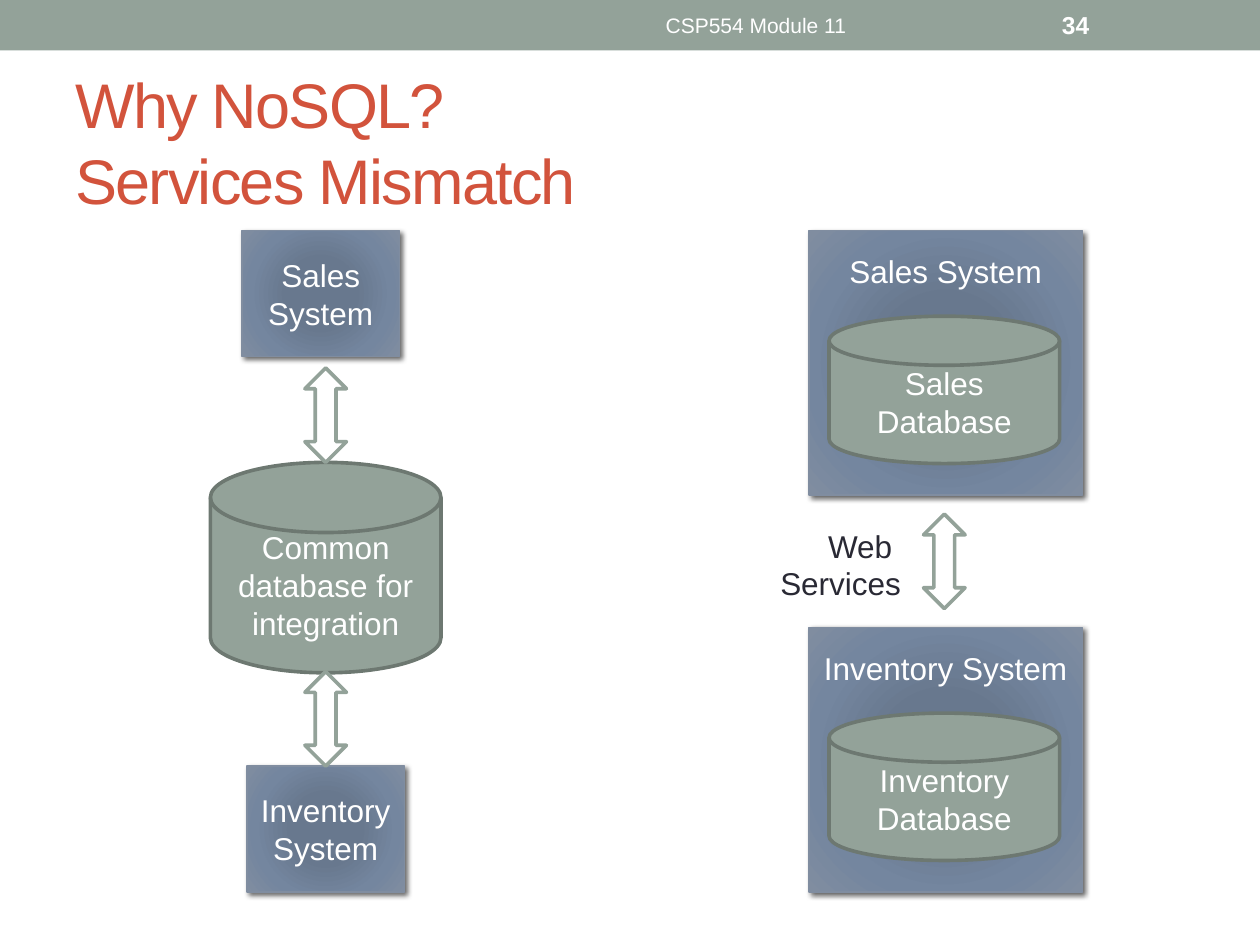
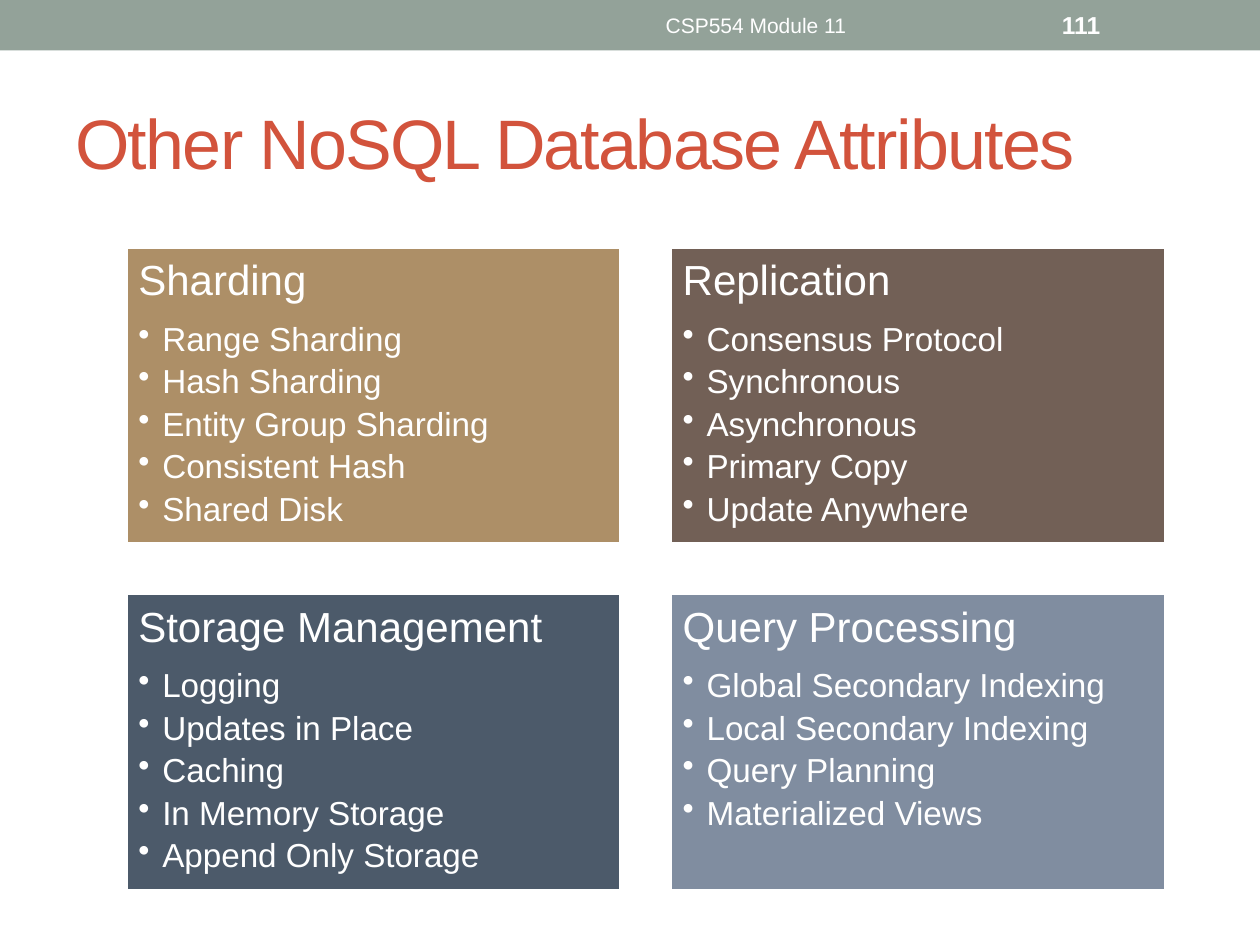
"""Build two slides on why NoSQL exists and on other database attributes."""
from dataclasses import dataclass

from lxml import etree
from pptx import Presentation
from pptx.dml.color import RGBColor
from pptx.enum.shapes import MSO_SHAPE as Preset
from pptx.enum.text import MSO_ANCHOR as Anchor, PP_ALIGN as Align
from pptx.oxml import parse_xml
from pptx.oxml.ns import nsdecls, qn
from pptx.util import Inches, Pt


@dataclass(frozen=True)
class Theme:
    font: str = "Arial"
    white: str = "FFFFFF"
    sage: str = "93A299"
    sage_edge: str = "6D7871"
    title: str = "D2533C"
    ink: str = "292934"
    slate: str = "808DA0"
    glow: tuple = ((0, "677790"), (34, "68788E"), (70, "74869F"), (100, "808DA0"))
    panels: tuple = ("AD8F67", "726056", "4C5A6A", "808DA0")
    footer_size: float = 12
    number_size: float = 14
    label_size: float = 18
    heading_size: float = 24
    bullet_size: float = 19
    thin: float = 0.75
    thick: float = 2.08


theme = Theme()


def place(slide, preset, box, lines=(), fill=None, edge=None, weight=theme.thick,
          size=theme.label_size, color=theme.white, bold=False,
          align=Align.CENTER, **frame_format):
    bounds = [Inches(length) for length in box]
    if preset is None:
        part = slide.shapes.add_textbox(*bounds)
    else:
        part = slide.shapes.add_shape(preset, *bounds)
        part.shadow.inherit = False
        part.fill.solid()
        part.fill.fore_color.rgb = RGBColor.from_string(fill)
        if edge:
            part.line.color.rgb = RGBColor.from_string(edge)
            part.line.width = Pt(weight)
        else:
            part.line.fill.background()
    frame = part.text_frame
    frame_values = {"word_wrap": True, "vertical_anchor": Anchor.MIDDLE} | frame_format
    for key, value in frame_values.items():
        setattr(frame, key, value)
    font_values = {"name": theme.font, "size": Pt(size), "bold": bold}
    for index, line in enumerate(lines):
        paragraph = frame.paragraphs[0] if index == 0 else frame.add_paragraph()
        paragraph.text = line
        paragraph.alignment = align
        for run in paragraph.runs:
            for key, value in font_values.items():
                setattr(run.font, key, value)
            run.font.color.rgb = RGBColor.from_string(color)
    return part


def place_system(slide, box, name, **frame_format):
    system = place(slide, Preset.RECTANGLE, box, [name], theme.slate, theme.slate,
                   theme.thin, **frame_format)
    properties = system.element.spPr
    stops = "".join(f'<a:gs pos="{stop * 1000}"><a:srgbClr val="{color}"/></a:gs>'
                    for stop, color in theme.glow)
    glow = parse_xml(
        f'<a:gradFill {nsdecls("a")} rotWithShape="1"><a:gsLst>{stops}</a:gsLst>'
        '<a:path path="circle"><a:fillToRect l="100000" t="100000" r="100000" '
        'b="100000"/></a:path></a:gradFill>')
    properties.replace(properties.find(qn("a:solidFill")), glow)
    properties.find(qn("a:effectLst")).append(parse_xml(
        f'<a:outerShdw {nsdecls("a")} blurRad="{Pt(3)}" dist="{Pt(2)}" dir="2700000" '
        'rotWithShape="0"><a:srgbClr val="000000"><a:alpha val="60000"/></a:srgbClr>'
        '</a:outerShdw>'))


deck = Presentation()
deck.slide_width, deck.slide_height = Inches(10), Inches(7.5)

pages = []
for heading, heading_size, number in (
    ("Why NoSQL?\vServices Mismatch", 36, "34"),
    ("Other NoSQL Database Attributes", 40, "111"),
):
    page = deck.slides.add_slide(deck.slide_layouts[6])
    place(page, Preset.RECTANGLE, (0, 0, 10, 0.4), fill=theme.sage)
    title = place(page, None, (0.5, 0.58, 9, 1.08), [heading], size=heading_size,
                  color=theme.title, align=Align.LEFT)
    for run in title.text_frame.paragraphs[0].runs:
        run.font._element.set("spc", "-100")
    place(page, None, (3.75, 0.02, 4.5, 0.36), ["CSP554 Module 11"],
          size=theme.footer_size)
    place(page, None, (8.33, 0.02, 1.17, 0.36), [number], size=theme.number_size,
          bold=True, align=Align.LEFT)
    pages.append(page)
mismatch, attributes = pages

disk_style = {"fill": theme.sage, "edge": theme.sage_edge}
place(mismatch, Preset.FLOWCHART_MAGNETIC_DISK, (1.67, 3.67, 1.83, 1.67),
      ["Common database for integration"], **disk_style)
for left, top, name in ((1.92, 1.83, "Sales System"), (1.96, 6.08, "Inventory System")):
    place_system(mismatch, (left, top, 1.25, 1), name)

for top, subject in ((1.83, "Sales"), (4.98, "Inventory")):
    place_system(mismatch, (6.42, top, 2.17, 2.1), f"{subject} System",
                 vertical_anchor=Anchor.TOP, margin_top=Inches(0.17))
    place(mismatch, Preset.FLOWCHART_MAGNETIC_DISK, (6.58, top + 0.68, 1.83, 1.17),
          [f"{subject} Database"], **disk_style)

for left, top in ((2.42, 2.92), (2.42, 5.33), (7.33, 4.08)):
    place(mismatch, Preset.UP_DOWN_ARROW, (left, top, 0.33, 0.75),
          fill=theme.white, edge=theme.sage)
place(mismatch, None, (6.08, 4.13, 1.17, 0.71), ["Web ", "Services"],
      color=theme.ink, align=Align.RIGHT, word_wrap=False, vertical_anchor=Anchor.TOP)

topics = {
    "Sharding": ["Range Sharding", "Hash Sharding", "Entity Group Sharding",
                 "Consistent Hash", "Shared Disk"],
    "Replication": ["Consensus Protocol", "Synchronous", "Asynchronous",
                    "Primary Copy", "Update Anywhere"],
    "Storage Management": ["Logging", "Updates in Place", "Caching",
                           "In Memory Storage", "Append Only Storage"],
    "Query Processing": ["Global Secondary Indexing", "Local Secondary Indexing",
                         "Query Planning", "Materialized Views"],
}
panel_margins = {f"margin_{side}": Inches(0.1) for side in ("left", "top", "right", "bottom")}
for index, (topic, points) in enumerate(topics.items()):
    row, column = divmod(index, 2)
    panel = place(attributes, Preset.RECTANGLE,
                  (1 + column * 4.32, 1.96 + row * 2.75, 3.93, 2.36), [topic, *points],
                  theme.panels[index], theme.white, size=theme.bullet_size,
                  align=Align.LEFT, vertical_anchor=Anchor.TOP, **panel_margins)
    topic_line, *point_lines = panel.text_frame.paragraphs
    topic_line.runs[0].font.size = Pt(theme.heading_size)
    topic_line.line_spacing, topic_line.space_after = 0.9, Pt(10)
    for point in point_lines:
        for key, value in {"level": 1, "line_spacing": 0.9, "space_after": Pt(3.8)}.items():
            setattr(point, key, value)
        layout = point._p.get_or_add_pPr()
        layout.set("marL", str(Inches(0.19)))
        layout.set("indent", str(-Inches(0.19)))
        etree.SubElement(layout, qn("a:buChar"), char="•")

deck.save("out.pptx")
